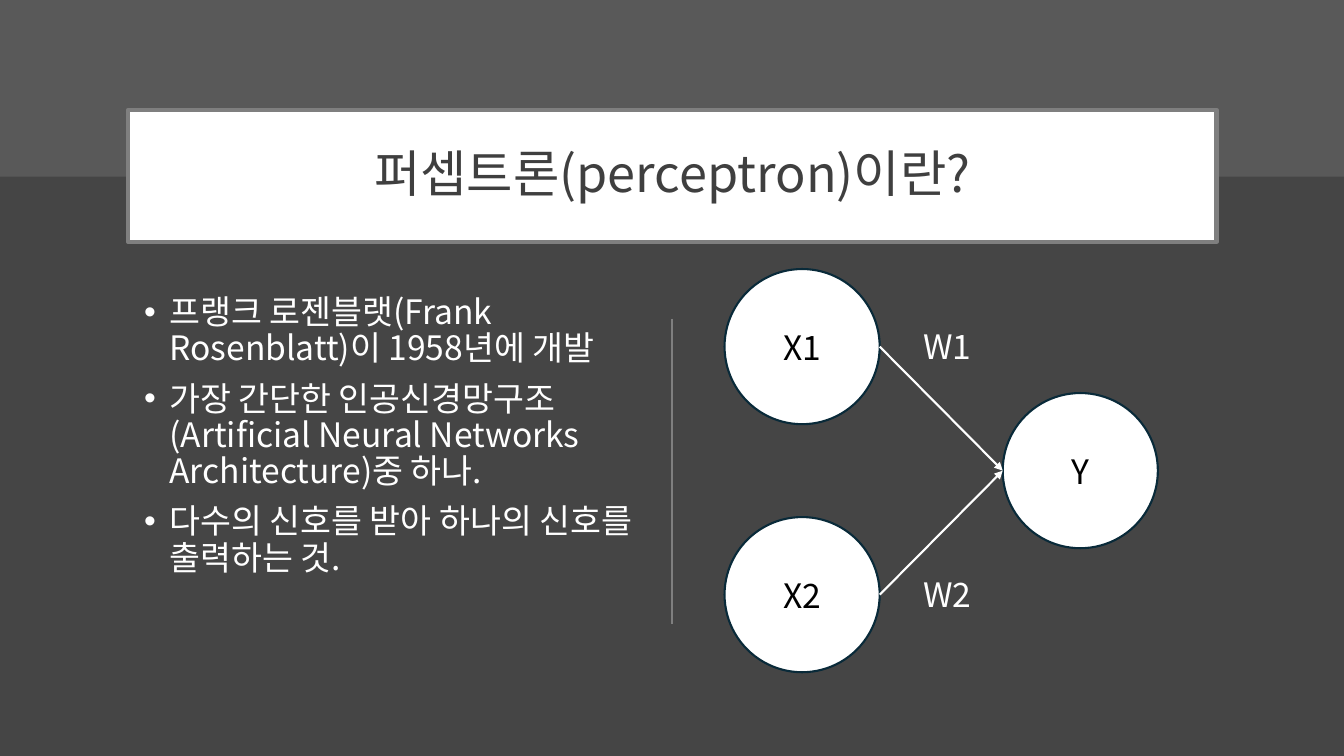
from dataclasses import dataclass

import pptx
import pptx.dml.color
import pptx.enum.shapes
import pptx.enum.text
import pptx.oxml
import pptx.oxml.ns
import pptx.util
from pptx.dml.color import RGBColor
from pptx.enum.shapes import MSO_CONNECTOR, MSO_SHAPE
from pptx.enum.text import MSO_ANCHOR, PP_ALIGN
from pptx.util import Cm, Pt

FONT = "Noto Sans CJK KR"
BACKGROUND = RGBColor(0x45, 0x45, 0x45)
BAND = RGBColor(0x59, 0x59, 0x59)
GRAY = RGBColor(0x7F, 0x7F, 0x7F)
TITLE_INK = RGBColor(0x3F, 0x3F, 0x3F)
OUTLINE = RGBColor(0x09, 0x2A, 0x39)
WHITE = RGBColor(0xFF, 0xFF, 0xFF)
BLACK = RGBColor(0x00, 0x00, 0x00)

SLIDE_WIDTH, SLIDE_HEIGHT = 33.87, 19.05
DIAMETER = 3.91
RADIUS = DIAMETER / 2
INPUT_LEFT, INPUT_TOP, INPUT_STEP = 18.26, 6.78, 6.25
OUTPUT_LEFT = 25.27
WEIGHT_LEFT, WEIGHT_DROP = 22.91, 1.3

FACTS = [
    "프랭크 로젠블랫(Frank Rosenblatt)이 1958년에 개발",
    "가장 간단한 인공신경망구조(Artificial Neural Networks Architecture)중 하나.",
    "다수의 신호를 받아 하나의 신호를 출력하는 것.",
]


@dataclass(frozen=True)
class Neuron:
    label: str
    left: float
    top: float

    @property
    def middle(self) -> float:
        return self.top + RADIUS


INPUTS = [Neuron(f"X{i + 1}", INPUT_LEFT, INPUT_TOP + i * INPUT_STEP) for i in range(2)]
OUTPUT = Neuron("Y", OUTPUT_LEFT, INPUT_TOP + INPUT_STEP / 2)


def write(paragraph, text: str, size: float, color: RGBColor) -> None:
    run = paragraph.add_run()
    run.text = text
    run.font.size = Pt(size)
    run.font.color.rgb = color
    run.font.name = FONT
    east_asian = pptx.oxml.ns.qn("a:ea")
    run.font._element.makeelement(east_asian)
    run.font._element.append(run.font._element.makeelement(east_asian, {"typeface": FONT}))


def add_block(shapes, kind, left: float, top: float, width: float, height: float,
              fill: RGBColor, outline=None, weight: float = 0):
    block = shapes.add_shape(kind, Cm(left), Cm(top), Cm(width), Cm(height))
    block.shadow.inherit = False
    block.fill.solid()
    block.fill.fore_color.rgb = fill
    if outline is None:
        block.line.fill.background()
    else:
        block.line.color.rgb = outline
        block.line.width = Pt(weight)
    block.text_frame.vertical_anchor = MSO_ANCHOR.MIDDLE
    return block


def add_line(shapes, x1: float, y1: float, x2: float, y2: float,
             color: RGBColor, arrow: bool = False) -> None:
    line = shapes.add_connector(MSO_CONNECTOR.STRAIGHT, Cm(x1), Cm(y1), Cm(x2), Cm(y2))
    line.line.color.rgb = color
    line.line.width = Pt(1.5)
    if arrow:
        stroke = line.line._get_or_add_ln()
        stroke.append(stroke.makeelement(pptx.oxml.ns.qn("a:tailEnd"), {"type": "triangle"}))
    properties = line._element.spPr
    properties.append(properties.makeelement(pptx.oxml.ns.qn("a:effectLst")))


def add_title(shapes) -> None:
    title = add_block(shapes, MSO_SHAPE.RECTANGLE, 3.23, 2.77, 27.43, 3.33, WHITE, GRAY, 3)
    paragraph = title.text_frame.paragraphs[0]
    paragraph.alignment = PP_ALIGN.CENTER
    paragraph.line_spacing = 0.9
    write(paragraph, "퍼셉트론(perceptron)이란?", 36, TITLE_INK)


def add_facts(shapes) -> None:
    frame = shapes.add_textbox(Cm(3.38), Cm(7.32), Cm(13), Cm(9.63)).text_frame
    frame.word_wrap = True
    for index, fact in enumerate(FACTS):
        paragraph = frame.add_paragraph() if index else frame.paragraphs[0]
        properties = paragraph._p.get_or_add_pPr()
        properties.set("marL", str(Cm(0.64)))
        properties.set("indent", str(Cm(-0.64)))
        properties.append(properties.makeelement(pptx.oxml.ns.qn("a:buFont"), {"typeface": "Arial"}))
        properties.append(properties.makeelement(pptx.oxml.ns.qn("a:buChar"), {"char": "•"}))
        paragraph.line_spacing = 0.9
        paragraph.space_before = Pt(10 if index else 0)
        write(paragraph, fact, 24, WHITE)


def add_neuron(shapes, neuron: Neuron) -> None:
    circle = add_block(shapes, MSO_SHAPE.OVAL, neuron.left, neuron.top,
                       DIAMETER, DIAMETER, WHITE, OUTLINE, 1.5)
    paragraph = circle.text_frame.paragraphs[0]
    paragraph.alignment = PP_ALIGN.CENTER
    write(paragraph, neuron.label, 24, BLACK)


def add_weight(shapes, label: str, top: float) -> None:
    frame = shapes.add_textbox(Cm(WEIGHT_LEFT), Cm(top), Cm(1.93), Cm(1.27)).text_frame
    frame.word_wrap = False
    paragraph = frame.paragraphs[0]
    paragraph.alignment = PP_ALIGN.CENTER
    write(paragraph, label, 24, WHITE)


def add_network(shapes) -> None:
    network = shapes.add_group_shape().shapes
    for neuron in [*INPUTS, OUTPUT]:
        add_neuron(network, neuron)
    for number, source in enumerate(INPUTS, start=1):
        add_line(network, source.left + DIAMETER, source.middle,
                 OUTPUT.left, OUTPUT.middle, WHITE, arrow=True)
        add_weight(network, f"W{number}", source.top + WEIGHT_DROP)


def main() -> None:
    deck = pptx.Presentation()
    deck.slide_width, deck.slide_height = Cm(SLIDE_WIDTH), Cm(SLIDE_HEIGHT)
    slide = deck.slides.add_slide(deck.slide_layouts[6])
    slide.background.fill.solid()
    slide.background.fill.fore_color.rgb = BACKGROUND
    add_block(slide.shapes, MSO_SHAPE.RECTANGLE, 0, 0, SLIDE_WIDTH, 4.45, BAND)
    add_title(slide.shapes)
    add_facts(slide.shapes)
    add_line(slide.shapes, SLIDE_WIDTH / 2, 8.03, SLIDE_WIDTH / 2, 15.72, GRAY)
    add_network(slide.shapes)
    deck.save("out.pptx")


if __name__ == "__main__":
    main()
